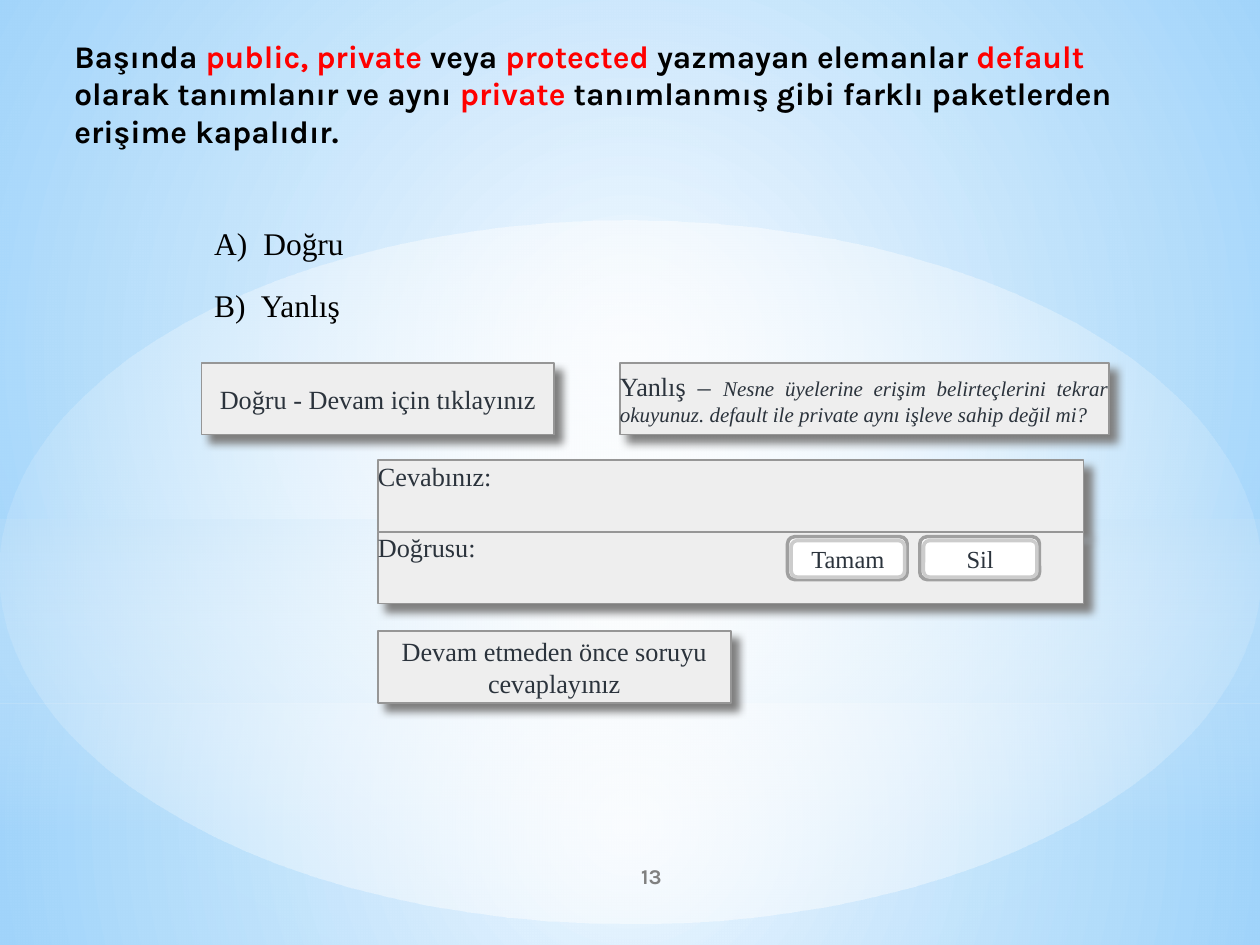
from lxml.etree import SubElement
from pptx import Presentation
from pptx.dml.color import RGBColor
from pptx.enum.shapes import MSO_SHAPE
from pptx.enum.text import MSO_ANCHOR, PP_ALIGN
from pptx.oxml import parse_xml
from pptx.oxml.ns import nsdecls, qn
from pptx.util import Inches, Pt

# Grid of 100 columns by 75 rows
deck = Presentation()
deck.slide_width, deck.slide_height = Inches(10), Inches(7.5)
UNIT = deck.slide_width / 100
slide = deck.slides.add_slide(deck.slide_layouts[6])
SERIF, SANS = "Times New Roman", "Karla"
LEFT, MID, JUST = PP_ALIGN.LEFT, PP_ALIGN.CENTER, PP_ALIGN.JUSTIFY
RECT, ROUND, OVAL = MSO_SHAPE.RECTANGLE, MSO_SHAPE.ROUNDED_RECTANGLE, MSO_SHAPE.OVAL
HUE = {
    "black": "000000", "red": "FF0000", "ink": "2B333C", "gray": "808080",
    "panel": "EEEEEE", "edge": "969696", "white": "FFFFFF",
    "rim": "A0A0A0", "inner": "CCCCCC",
    "sky": "9CD4FF", "deep": "5BB9FF", "pale": "B4DCFA",
}


def blend(old, stops, focus=None):
    """Swap a solid fill for a gradient: circular with a focus, else downward."""
    grad = parse_xml(f'<a:gradFill {nsdecls("a")} rotWithShape="1"/>')
    row = SubElement(grad, qn("a:gsLst"))
    for pos, hue, alpha in stops:
        stop = SubElement(row, qn("a:gs"), pos=str(pos * 1000))
        tint = SubElement(stop, qn("a:srgbClr"), val=HUE[hue])
        SubElement(tint, qn("a:alpha"), val=str(alpha * 1000))
    if focus:
        way = SubElement(grad, qn("a:path"), {"path": "circle"})
        SubElement(way, qn("a:fillToRect"),
                   {side: str(n * 1000) for side, n in zip("ltrb", focus)})
    else:
        SubElement(grad, qn("a:lin"), ang="5400000", scaled="0")
    old.getparent().replace(old, grad)


def box(at, runs=(), kind=None, fill="panel", line="edge", width=1,
        align=MID, anchor=MSO_ANCHOR.MIDDLE, wrap=True):
    """Add a shape, or a text box without kind; a run is text, size, hue, font."""
    spot = [round(n * UNIT) for n in at]
    if kind is None:
        item = slide.shapes.add_textbox(*spot)
    else:
        item = slide.shapes.add_shape(kind, *spot)
        item.shadow.inherit = False
        item.fill.solid()
        item.fill.fore_color.rgb = RGBColor.from_string(HUE[fill])
        if line:
            item.line.color.rgb = RGBColor.from_string(HUE[line])
            item.line.width = Pt(width)
        else:
            item.line.fill.background()
    frame = item.text_frame
    frame.margin_left = frame.margin_right = 0
    frame.margin_top = frame.margin_bottom = 0
    frame.word_wrap, frame.vertical_anchor = wrap, anchor
    para = frame.paragraphs[0]
    para.alignment = align
    for text, size, hue, face in runs:
        run = para.add_run()
        run.text = text
        run.font.size, run.font.name = Pt(size), face
        run.font.color.rgb = RGBColor.from_string(HUE[hue])
        run.font.bold = face == SANS
    return item


# Background with its glowing layers
slide.background.fill.solid()
base = slide.element.find(".//" + qn("p:bgPr"))
blend(base[0], [(0, "sky", 100), (100, "deep", 100)], (50, 25, 50, 75))
core = (50, 50, 50, 50)
for at, kind, stops, focus in [
    ((0, 55.8, 100, 19.2), RECT, [(0, "white", 91), (100, "pale", 79)], core),
    ((0, 0, 100, 55.8), RECT, [(0, "white", 89), (100, "pale", 79)], core),
    ((0, 41.2, 100, 25), RECT, [(0, "pale", 60), (100, "white", 0)], None),
    ((0, 17.5, 100, 55.8), OVAL, [(0, "white", 100), (100, "white", 0)], core),
]:
    layer = box(at, kind=kind, line=None)
    blend(layer.element.spPr.find(qn("a:solidFill")), stops, focus)

# Question, with black and red runs in turn
words = ["Başında ", "public, private ", "veya", " protected ",
         "yazmayan elemanlar ", "default", " olarak tanımlanır ve aynı",
         " private", " tanımlanmış gibi farklı paketlerden erişime kapalıdır."]
box((5.9, 2.9, 88.2, 9.2),
    [(word, 18, ("black", "red")[n % 2], SANS) for n, word in enumerate(words)],
    align=LEFT, anchor=MSO_ANCHOR.TOP)

# Page number
box((41.7, 67.5, 20, 4), [("13", 12, "gray", SANS)])

# Answers
for n, (mark, text, gap) in enumerate([("A)", "Doğru", 3.9), ("B)", "Yanlış", 3.7)]):
    top = 17.8 + n * 4.9
    box((17, top, gap, 3), [(mark, 18, "black", SERIF)], align=LEFT, wrap=False)
    box((17 + gap, top, 41.6, 3), [(text, 18, "black", SERIF)], align=LEFT)

# Feedback panels
hint = ("Nesne üyelerine erişim belirteçlerini tekrar okuyunuz. "
        "default ile private aynı işleve sahip değil mi?")
for left, top, wide, text, align, anchor in [
    (16, 28.8, 28, "Doğru - Devam için tıklayınız", MID, MSO_ANCHOR.MIDDLE),
    (49.2, 28.8, 38.8, "Yanlış – ", JUST, MSO_ANCHOR.MIDDLE),
    (30, 36.5, 56, "Cevabınız:", LEFT, MSO_ANCHOR.TOP),
    (30, 42.2, 56, "Doğrusu:", LEFT, MSO_ANCHOR.TOP),
    (30, 50.1, 28, "Devam etmeden önce soruyu cevaplayınız", MID, MSO_ANCHOR.MIDDLE),
]:
    runs = [(text, 15, "ink", SERIF)]
    if align == JUST:
        runs.append((hint, 12, "ink", SERIF))
    panel = box((left, top, wide, 5.7), runs, RECT, align=align, anchor=anchor)
    for run in panel.text_frame.paragraphs[0].runs[1:]:
        run.font.italic = True
    cast = SubElement(panel.element.spPr.find(qn("a:effectLst")), qn("a:outerShdw"),
                      blurRad=str(Pt(5)), dist=str(Pt(5.7)), dir="2700000",
                      algn="ctr", rotWithShape="0")
    SubElement(cast, qn("a:srgbClr"), val=HUE["gray"])

# Buttons
for n, text in enumerate(["Tamam", "Sil"]):
    left = 62.5 + n * 10.5
    box((left, 42.6, 9.5, 3.4), (), ROUND, "white", "rim", 2)
    box((left + 0.3, 42.9, 9, 2.9), [(text, 14, "ink", SERIF)],
        ROUND, "white", "inner", 2)

deck.save("out.pptx")
